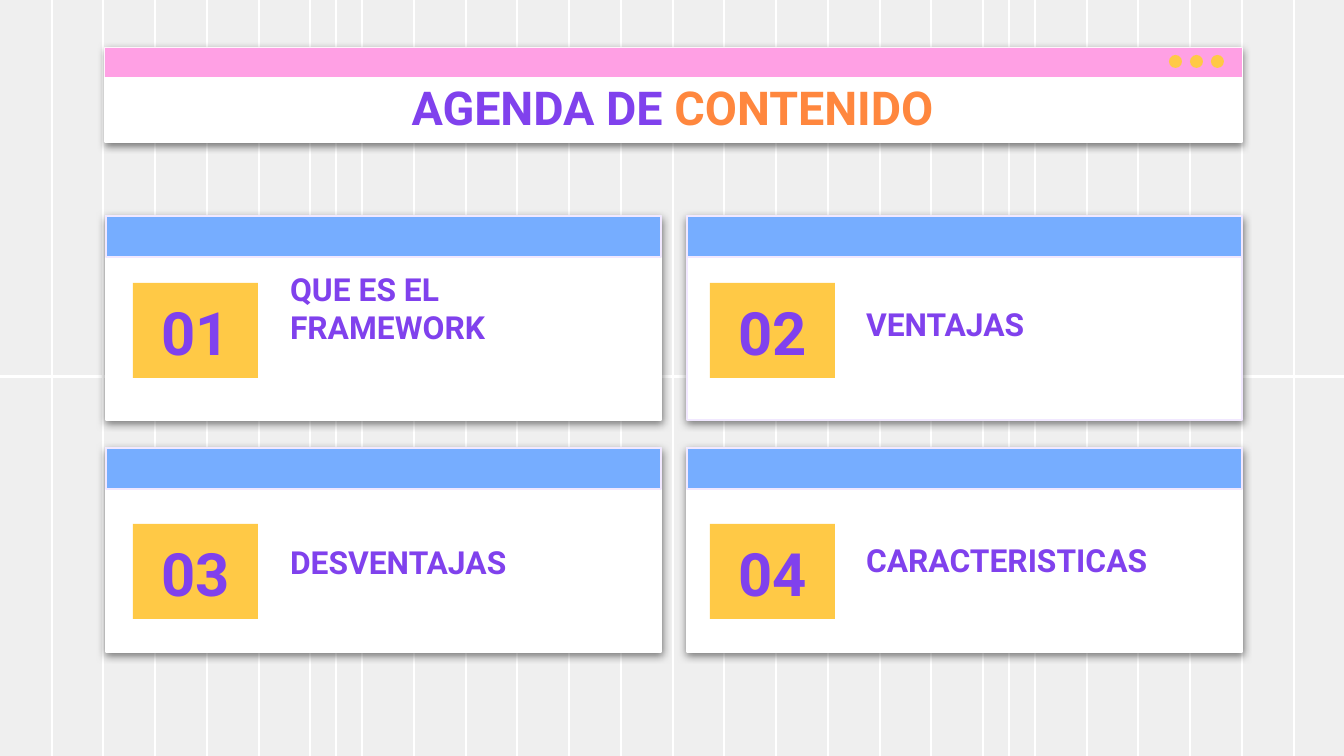
from dataclasses import dataclass

from lxml import etree
from pptx import Presentation
from pptx.dml.color import RGBColor
from pptx.enum.shapes import MSO_CONNECTOR, MSO_SHAPE
from pptx.enum.text import MSO_ANCHOR, MSO_AUTO_SIZE, PP_ALIGN
from pptx.oxml import parse_xml
from pptx.oxml.ns import nsdecls, qn
from pptx.util import Pt

RECTANGLE, OVAL = MSO_SHAPE.RECTANGLE, MSO_SHAPE.OVAL
STRAIGHT = MSO_CONNECTOR.STRAIGHT
TOP, BOTTOM = MSO_ANCHOR.TOP, MSO_ANCHOR.BOTTOM
LEFT, CENTER = PP_ALIGN.LEFT, PP_ALIGN.CENTER
NO_AUTOFIT = MSO_AUTO_SIZE.NONE

EMU_PER_PX = 914400 / 134.4
SLIDE_WIDTH, SLIDE_HEIGHT = 1344, 756
INSET = 13


@dataclass(frozen=True)
class Theme:
    background: str = "EFEFEF"
    white: str = "FFFFFF"
    pale_violet: str = "F1E8FF"
    pink: str = "FFA0E4"
    blue: str = "76ADFF"
    yellow: str = "FFC946"
    violet: str = "8041ED"
    orange: str = "FF873E"
    font: str = "Roboto"
    title_size: int = 25
    number_size: int = 32
    label_size: int = 17
    line_width: float = 0.75


@dataclass(frozen=True)
class Box:
    left: int
    top: int
    width: int
    height: int


@dataclass(frozen=True)
class Topic:
    number: str
    label: str
    column: int
    row: int
    label_top: int
    border: str


THEME = Theme()
TOPICS = [
    Topic("01", "QUE ES EL FRAMEWORK", 0, 0, 309, THEME.white),
    Topic("02", "VENTAJAS", 1, 0, 306, THEME.pale_violet),
    Topic("03", "DESVENTAJAS", 0, 1, 544, THEME.white),
    Topic("04", "CARACTERISTICAS", 1, 1, 542, THEME.white),
]
CARD_LEFTS, CARD_TOPS = (106, 687), (216, 448)
BADGE_LEFTS, BADGE_TOPS = (133, 710), (283, 524)
LABEL_LEFTS = (277, 853)


def px(value: float) -> int:
    return round(value * EMU_PER_PX)


def color(value: str) -> RGBColor:
    return RGBColor.from_string(value)


def add_grid_line(slide, x1: int, y1: int, x2: int, y2: int) -> None:
    line = slide.shapes.add_connector(STRAIGHT, px(x1), px(y1), px(x2), px(y2))
    line.line.color.rgb = color(THEME.white)
    line.line.width = Pt(THEME.line_width)
    etree.SubElement(line.element.spPr, qn("a:effectLst"))


def add_block(slide, kind, box: Box, fill: str, border: str = ""):
    shape = slide.shapes.add_shape(
        kind, px(box.left), px(box.top), px(box.width), px(box.height))
    shape.shadow.inherit = False
    shape.fill.solid()
    shape.fill.fore_color.rgb = color(fill)
    if border:
        shape.line.color.rgb = color(border)
        shape.line.width = Pt(THEME.line_width)
    else:
        shape.line.fill.background()
    return shape


def add_window(slide, box: Box, bar_height: int, bar_fill: str,
               border: str, bar_border: str = "") -> None:
    """Draw a white panel with a soft shadow and a coloured bar on top."""
    panel = add_block(slide, RECTANGLE, box, THEME.white, border)
    effects = panel.element.spPr.find(qn("a:effectLst"))
    effects.append(parse_xml(
        f'<a:outerShdw {nsdecls("a")} blurRad="{Pt(4.5)}" dist="{Pt(1.5)}" '
        'dir="5400000" algn="bl" rotWithShape="0"><a:srgbClr val="000000">'
        '<a:alpha val="50000"/></a:srgbClr></a:outerShdw>'))
    bar = Box(box.left, box.top, box.width, bar_height)
    add_block(slide, RECTANGLE, bar, bar_fill, bar_border)


def format_text(shape, size: int, colors: list[str], align, anchor) -> None:
    frame = shape.text_frame
    frame.word_wrap = True
    frame.auto_size = NO_AUTOFIT
    frame.vertical_anchor = anchor
    frame.margin_left = frame.margin_right = px(INSET)
    frame.margin_top = frame.margin_bottom = px(INSET)
    paragraph = frame.paragraphs[0]
    paragraph.alignment = align
    paragraph.space_before = Pt(0)
    for run, run_color in zip(paragraph.runs, colors):
        run.font.name = THEME.font
        run.font.size = Pt(size)
        run.font.bold = True
        run.font.color.rgb = color(run_color)


def place(slide, placeholder, box: Box) -> None:
    """Position a placeholder and bring it to the front."""
    placeholder.left, placeholder.top = px(box.left), px(box.top)
    placeholder.width, placeholder.height = px(box.width), px(box.height)
    slide.shapes.element.append(placeholder.element)


def add_topic(slide, topic: Topic, placeholder) -> None:
    column, row = topic.column, topic.row
    add_window(slide, Box(CARD_LEFTS[column], CARD_TOPS[row], 555, 204), 41,
               THEME.blue, topic.border, THEME.pale_violet)

    badge_box = Box(BADGE_LEFTS[column], BADGE_TOPS[row], 125, 95)
    badge = add_block(slide, RECTANGLE, badge_box, THEME.yellow)
    badge.text_frame.text = topic.number
    format_text(badge, THEME.number_size, [THEME.violet], CENTER, TOP)

    place(slide, placeholder, Box(LABEL_LEFTS[column], topic.label_top, 371, 50))
    placeholder.text_frame.text = topic.label
    format_text(placeholder, THEME.label_size, [THEME.violet], LEFT, BOTTOM)
    properties = placeholder.text_frame.paragraphs[0]._p.get_or_add_pPr()
    properties.set("marL", "0")
    properties.set("indent", "0")
    etree.SubElement(properties, qn("a:buNone"))


def main() -> None:
    presentation = Presentation()
    presentation.slide_width = px(SLIDE_WIDTH)
    presentation.slide_height = px(SLIDE_HEIGHT)
    # The comparison layout offers a title and four body placeholders
    slide = presentation.slides.add_slide(presentation.slide_layouts[4])
    title, *labels = list(slide.placeholders)
    slide.background.fill.solid()
    slide.background.fill.fore_color.rgb = color(THEME.background)

    # Background grid
    columns = [round(step * 51.74) for step in range(1, 26)]
    for x in columns + [336, 1009]:
        add_grid_line(slide, x, 0, x, SLIDE_HEIGHT)
    for y in (376, 377):
        add_grid_line(slide, 0, y, SLIDE_WIDTH, y)

    # Title window
    add_window(slide, Box(105, 48, 1137, 94), 29, THEME.pink, THEME.white)
    for index in range(3):
        dot = Box(1169 + 21 * index, 55, 13, 13)
        add_block(slide, OVAL, dot, THEME.yellow)
    place(slide, title, Box(231, 66, 883, 85))
    paragraph = title.text_frame.paragraphs[0]
    for words in ("AGENDA DE ", "CONTENIDO"):
        paragraph.add_run().text = words
    format_text(title, THEME.title_size, [THEME.violet, THEME.orange], CENTER, TOP)

    # Agenda topics
    for topic, placeholder in zip(TOPICS, labels):
        add_topic(slide, topic, placeholder)

    presentation.save("out.pptx")


if __name__ == "__main__":
    main()
